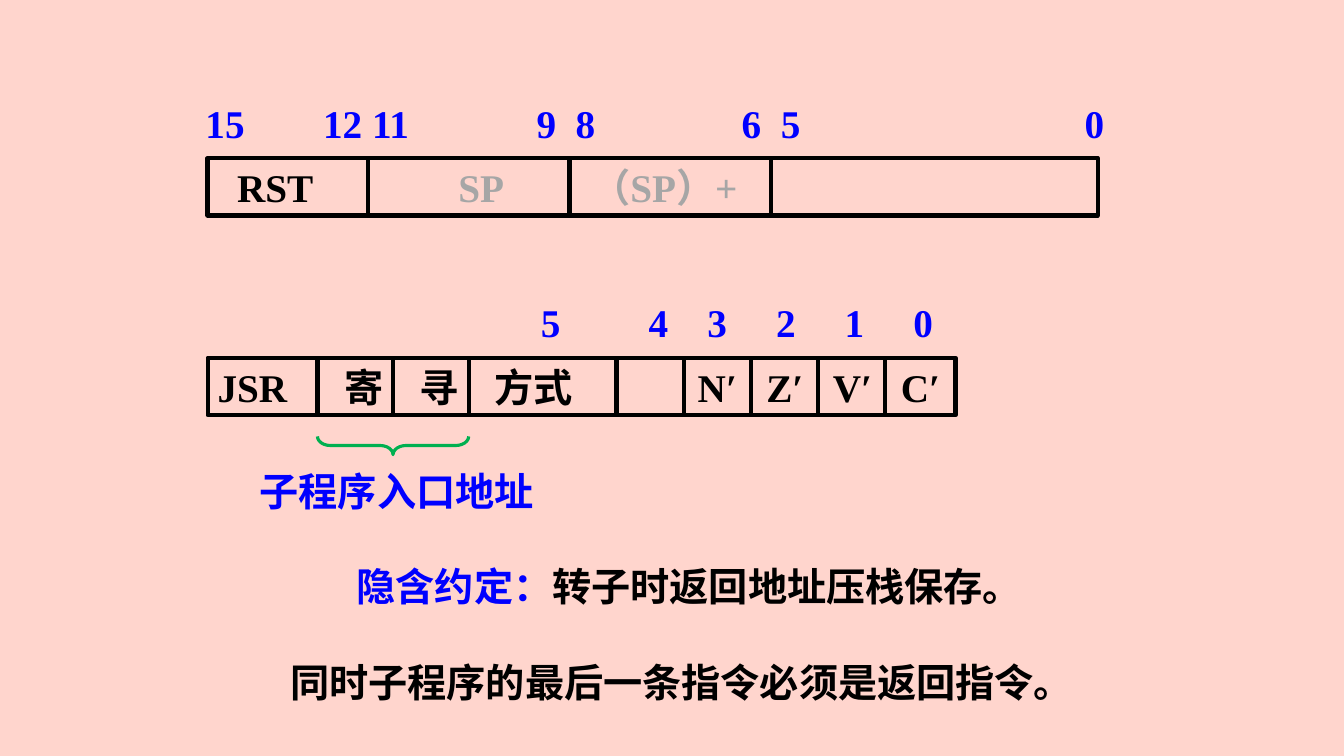
from lxml import etree
from pptx import Presentation
from pptx.dml.color import RGBColor
from pptx.enum.shapes import MSO_CONNECTOR, MSO_SHAPE
from pptx.enum.text import MSO_ANCHOR, PP_ALIGN
from pptx.oxml.ns import qn
from pptx.util import Pt

RECT, BRACE = MSO_SHAPE.RECTANGLE, MSO_SHAPE.LEFT_BRACE
STRAIGHT = MSO_CONNECTOR.STRAIGHT
MIDDLE = MSO_ANCHOR.MIDDLE
LEFT, CENTER = PP_ALIGN.LEFT, PP_ALIGN.CENTER

PINK, BLUE, BLACK, GREY, GREEN = "FFD5CD", "0000FF", "000000", "A6A6A6", "00B050"
ROW_H = 41
ROW_X = 148.3


def rgb(value):
    return RGBColor.from_string(value)


class Slide:
    font, size, line_width = "Times New Roman", 28, 3

    def __init__(self, prs):
        self.s = prs.slides.add_slide(prs.slide_layouts[6])
        fill = self.s.background.fill
        fill.solid()
        fill.fore_color.rgb = rgb(PINK)

    def set_text(self, sp, runs, tabs=(), align=LEFT):
        """Put (text, colour) runs in one paragraph; tabs are left stops in points."""
        tf = sp.text_frame
        tf.word_wrap = True
        tf.vertical_anchor = MIDDLE
        p = tf.paragraphs[0]
        p.alignment = align
        if tabs:
            stops = etree.SubElement(p._p.get_or_add_pPr(), qn("a:tabLst"))
            for x in tabs:
                etree.SubElement(stops, qn("a:tab"), pos=str(Pt(x)), algn="l")
        p.font.name, p.font.size, p.font.bold = self.font, Pt(self.size), True
        for text, color in runs:
            r = p.add_run()
            r.text = text
            r.font.color.rgb = rgb(color)

    def text(self, x, y, w, runs, tabs=(), align=LEFT):
        sp = self.s.shapes.add_textbox(Pt(x), Pt(y), Pt(w), Pt(ROW_H))
        self.set_text(sp, runs, tabs, align)

    def outline(self, kind, x, y, w, h, color, width):
        sp = self.s.shapes.add_shape(kind, Pt(x), Pt(y), Pt(w), Pt(h))
        sp.shadow.inherit = False
        sp.fill.background()
        sp.line.color.rgb = rgb(color)
        sp.line.width = Pt(width)
        return sp

    def divider(self, x, y):
        c = self.s.shapes.add_connector(STRAIGHT, Pt(x), Pt(y), Pt(x), Pt(y + ROW_H - 1.5))
        c.line.color.rgb = rgb(BLACK)
        c.line.width = Pt(self.line_width)
        etree.SubElement(c._element.spPr, qn("a:effectLst"))

    def instruction(self, y, w, dividers, runs, tabs):
        """Draw an instruction word as a box split into fields."""
        sp = self.outline(RECT, ROW_X, y, w, ROW_H, BLACK, self.line_width)
        self.set_text(sp, runs, tabs)
        for x in dividers:
            self.divider(x, y)

    def brace_below(self, center_x, center_y, span, depth):
        sp = self.outline(BRACE, center_x - depth / 2, center_y - span / 2,
                          depth, span, GREEN, 2.25)
        sp.adjustments[0] = 0.71
        sp.rotation = 270


def main():
    prs = Presentation()
    prs.slide_width, prs.slide_height = Pt(960), Pt(540)
    slide = Slide(prs)

    slide.text(139.7, 67, 674.6, [("15\t12\t11\t9\t8\t6\t5\t0", BLUE)],
               (84, 119, 236.5, 264.5, 383, 411, 628))
    slide.instruction(113, 635.8, [262.8 + 144 * i for i in range(3)],
                      [("\tRST\t", BLACK), ("SP\t（SP）+", GREY)], (14, 172, 267))

    slide.text(ROW_X, 209.5, 544.3, [("\t5\t4\t3\t2\t1\t0", BLUE)],
               (231, 308, *range(350, 498, 49)))
    fields = [226.8 + 54 * i for i in range(3)]
    flags = [440.4 + 48 * i for i in range(5)]
    slide.instruction(255.6, 534.2, fields + flags,
                      [("JSR\t寄\t寻\t方式\tN′\tZ′\tV′\tC′", BLACK)],
                      (91, 144.5, 198, 343, 392, 439.5, 488))

    slide.brace_below(fields[1], 318.2, 108, 13)
    slide.text(162.7, 329.8, 241.2, [("子程序入口地址", BLUE)], align=CENTER)
    slide.text(247.7, 398.2, 500, [("隐含约定：", BLUE), ("转子时返回地址压栈保存。", BLACK)])
    slide.text(200.2, 466.6, 585, [("同时子程序的最后一条指令必须是返回指令。", BLACK)])

    prs.save("out.pptx")


if __name__ == "__main__":
    main()
